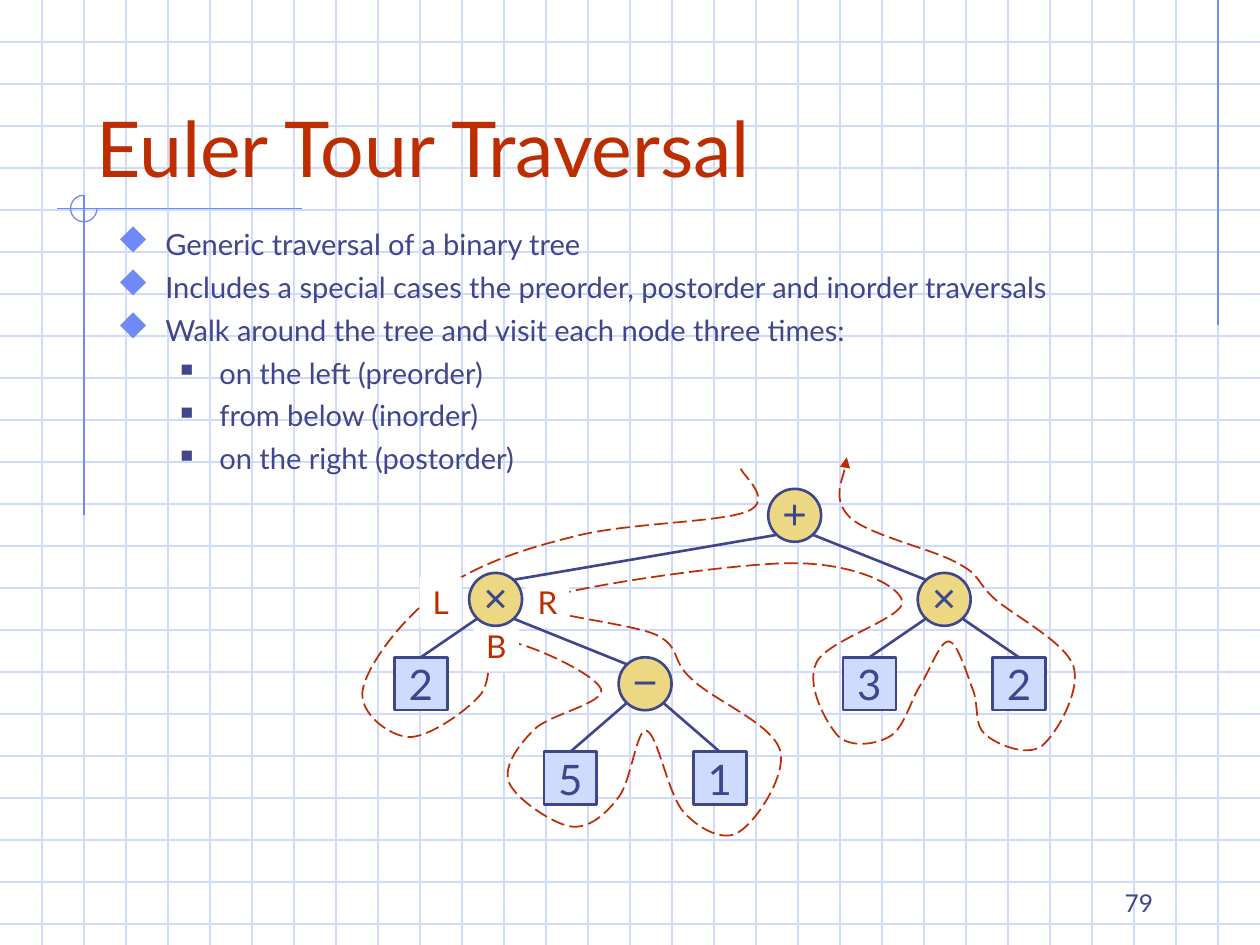
from lxml import etree
from pptx import Presentation, util as u
from pptx.dml.color import RGBColor
from pptx.enum import dml, shapes, text
from pptx.oxml.ns import qn

COLUMNS, ROWS = 30, 22.5
INK, RED, BLUE, PALE, GOLD, WHITE = "40458C", "BE2D00", "6F89F7", "CFDBFD", "ECD882", "FFFFFF"


def color(value):
    return RGBColor.from_string(value)


def cells(count):
    """Length of a number of grid cells, each a third of an inch."""
    return u.Emu(round(count * u.Inches(1) / 3))


class Sketch:
    """Draws on one page; every length is given in grid cells."""

    def __init__(self, page, font="Lato"):
        self.page = page
        self.font = font

    def outline(self, shape, line_color, width):
        shape.line.color.rgb = color(line_color)
        shape.line.width = u.Pt(width)

    def line(self, start, end, line_color, width=0.75):
        connector = self.page.shapes.add_connector(
            shapes.MSO_CONNECTOR.STRAIGHT, *map(cells, (*start, *end)))
        self.outline(connector, line_color, width)
        etree.SubElement(connector._element.spPr, qn("a:effectLst"))
        return connector

    def shape(self, kind, frame, fill=None, line_color=None, width=1.5):
        shape = self.page.shapes.add_shape(kind, *map(cells, frame))
        shape.shadow.inherit = False
        if fill:
            shape.fill.solid()
            shape.fill.fore_color.rgb = color(fill)
        else:
            shape.fill.background()
        if line_color:
            self.outline(shape, line_color, width)
        else:
            shape.line.fill.background()
        return shape

    def style(self, para, size, font_color=INK, align=text.PP_ALIGN.LEFT, font=None):
        para.alignment = align
        para.font.size = u.Pt(size)
        para.font.name = font or self.font
        para.font.color.rgb = color(font_color)

    def caption(self, shape, words, size, font_color=INK, font=None):
        """Centres one unwrapped line of text in a shape."""
        frame = shape.text_frame
        frame.text = words
        frame.word_wrap = False
        frame.vertical_anchor = text.MSO_ANCHOR.MIDDLE
        self.style(frame.paragraphs[0], size, font_color, text.PP_ALIGN.CENTER, font)

    def text(self, frame, words, size, font_color=INK,
             align=text.PP_ALIGN.LEFT, anchor=text.MSO_ANCHOR.BOTTOM):
        box = self.page.shapes.add_textbox(*map(cells, frame))
        box.text_frame.text = words
        box.text_frame.word_wrap = True
        box.text_frame.vertical_anchor = anchor
        for para in box.text_frame.paragraphs:
            self.style(para, size, font_color, align)
        return box

    def bullets(self, frame, items, size):
        """Lists (level, words) pairs; the Wingdings marks are a diamond and a square."""
        words = "\n".join(item for level, item in items)
        box = self.text(frame, words, size, anchor=text.MSO_ANCHOR.TOP)
        looks = [("u", BLUE, 110, 0.38, 0.38), ("n", INK, 60, 0.81, 0.31)]
        for index, (para, (level, item)) in enumerate(zip(box.text_frame.paragraphs, items)):
            mark, mark_color, percent, margin, hang = looks[level]
            para.level = level
            if index:
                para.space_before = u.Pt(4.5)
            props = para._p.get_or_add_pPr()
            props.set("marL", str(u.Inches(margin)))
            props.set("indent", str(-u.Inches(hang)))
            tint = etree.Element(qn("a:buClr"))
            etree.SubElement(tint, qn("a:srgbClr"), val=mark_color)
            scale = etree.Element(qn("a:buSzPct"), val=str(percent * 1000))
            face = etree.Element(qn("a:buFont"), typeface="Wingdings", charset="2")
            sign = etree.Element(qn("a:buChar"), char=mark)
            defaults = props.find(qn("a:defRPr"))
            for element in (tint, scale, face, sign):
                defaults.addprevious(element)

    def curve(self, points, step, line_color):
        """Dashed arrow of joined Bezier curves: a start, then three points per curve."""
        places = [(cells(x * step), cells(y * step)) for x, y in points]
        builder = self.page.shapes.build_freeform(*places[0], scale=1.0)
        builder.add_line_segments(places[1:], close=False)
        shape = builder.convert_to_shape()
        shape.shadow.inherit = False
        shape.fill.background()
        self.outline(shape, line_color, 1)
        shape.line.dash_style = dml.MSO_LINE.LONG_DASH
        etree.SubElement(shape.line._get_or_add_ln(), qn("a:tailEnd"), type="triangle")
        outline = next(shape._element.iter(qn("a:path")))
        for index, segment in enumerate(outline.findall(qn("a:lnTo"))):
            if index % 3 == 0:
                bezier = etree.SubElement(outline, qn("a:cubicBezTo"))
            bezier.append(segment[0])
            outline.remove(segment)


# Corners and control points of the tour, in hundredths of an inch
TOUR = [
    (588, 372), (589, 377), (615, 397), (593, 406), (570, 415), (496, 415), (455, 426),
    (414, 436), (376, 449), (348, 470), (320, 490), (292, 527), (288, 547),
    (284, 566), (309, 584), (324, 585), (339, 586), (368, 566), (380, 553),
    (393, 540), (383, 510), (399, 509), (415, 508), (473, 535), (477, 547),
    (481, 558), (436, 567), (424, 579), (412, 591), (399, 608), (404, 621),
    (409, 634), (439, 654), (453, 656), (467, 658), (480, 647), (490, 634),
    (501, 622), (505, 578), (513, 580), (522, 582), (530, 631), (543, 645),
    (555, 658), (575, 669), (587, 660), (600, 652), (625, 615), (619, 595),
    (612, 574), (565, 555), (549, 539), (532, 524), (541, 514), (521, 504),
    (500, 494), (409, 486), (427, 477), (445, 467), (581, 447), (629, 447),
    (677, 447), (713, 464), (716, 477), (720, 490), (656, 508), (648, 526),
    (639, 544), (656, 574), (665, 584), (675, 594), (696, 591), (707, 584),
    (718, 577), (723, 555), (731, 543), (739, 530), (746, 509), (753, 509),
    (760, 510), (767, 534), (772, 547), (777, 559), (773, 576), (782, 583),
    (791, 591), (815, 601), (827, 592), (839, 582), (858, 548), (852, 529),
    (846, 510), (805, 489), (789, 475), (774, 461), (779, 457), (760, 447),
    (741, 436), (690, 425), (675, 411), (660, 397), (672, 373), (672, 363),
]
TREE_LEFT, TREE_STEP, NODE = 10.02, 1.78, 1.26
LEVELS = [12.27, 14.27, 16.28, 18.53]
# Name: (sign, column, level); a digit is a leaf
NODES = {
    "root": ("+", 5, 0), "left": ("×", 1, 1), "right": ("×", 7, 1), "minus": ("−", 3, 2),
    "a": ("2", 0, 2), "b": ("5", 2, 3), "c": ("1", 4, 3), "d": ("3", 6, 2), "e": ("2", 8, 2),
}
EDGES = [("root", "left"), ("root", "right"), ("left", "a"), ("left", "minus"),
         ("minus", "b"), ("minus", "c"), ("right", "d"), ("right", "e")]


def node_center(name):
    sign, column, level = NODES[name]
    return TREE_LEFT + column * TREE_STEP, LEVELS[level]


def draw_node(sketch, name):
    sign = NODES[name][0]
    x, y = node_center(name)
    frame = (x - NODE / 2, y - NODE / 2, NODE, NODE)
    if sign.isdigit():
        shape = sketch.shape(shapes.MSO_SHAPE.RECTANGLE, frame, PALE, INK)
        sketch.caption(shape, sign, 24)
    else:
        shape = sketch.shape(shapes.MSO_SHAPE.OVAL, frame, GOLD, INK)
        sketch.caption(shape, sign, 24, font="Arial")
        margins = shape.text_frame
        margins.margin_left = margins.margin_right = margins.margin_top = 0
    return shape


def draw_edge(sketch, parent, child, leaf):
    """Runs from the rim of a circle to the rim of a circle or the top of a leaf."""
    x, y = node_center(parent)
    child_x, child_y = node_center(child)
    rim = 0.45 if child_x > x else -0.45
    edge = sketch.line((x + rim, y + 0.47), (child_x - rim, child_y - 0.47), INK, 1.5)
    if NODES[child][0].isdigit():
        edge.end_connect(leaf, 0)


def main():
    deck = Presentation()
    deck.slide_width, deck.slide_height = cells(COLUMNS), cells(ROWS)
    sketch = Sketch(deck.slides.add_slide(deck.slide_layouts[6]))

    for row in range(1, 23):
        sketch.line((0, row), (COLUMNS, row), PALE)
    for column in range(1, COLUMNS):
        sketch.line((column, 0), (column, ROWS), PALE)
    sketch.line((29, 0), (29, 7.75), BLUE)
    sketch.line((7.2, 4.97), (1.35, 4.97), BLUE)
    sketch.line((2, 4.65), (2, 12.27), BLUE)
    ring = sketch.shape(shapes.MSO_SHAPE.ARC, (1.68, 4.65, 0.63, 0.63), None, BLUE, 0.75)
    ring.adjustments[0], ring.adjustments[1] = 0, 162  # 0 to 270 degrees

    sketch.text((2, 1, 25.5, 3.75), "Euler Tour Traversal", 44, RED)
    sketch.bullets((2.5, 5.25, 26, 7), [
        (0, "Generic traversal of a binary tree"),
        (0, "Includes a special cases the preorder, postorder and inorder traversals"),
        (0, "Walk around the tree and visit each node three times:"),
        (1, "on the left (preorder)"),
        (1, "from below (inorder)"),
        (1, "on the right (postorder)"),
    ], 16.6)

    sketch.curve(TOUR, 0.03, RED)
    for letter, x, y, width in [("L", 9.99, 13.74, 1), ("B", 11.28, 14.79, 1.08),
                                ("R", 12.51, 13.74, 1.05)]:
        label = sketch.shape(shapes.MSO_SHAPE.RECTANGLE, (x, y, width, 1.2), WHITE)
        sketch.caption(label, letter, 18, RED)
    drawn = {name: draw_node(sketch, name) for name in NODES}
    for parent, child in EDGES:
        draw_edge(sketch, parent, child, drawn[child])

    sketch.text((21.5, 20.5, 6.25, 1.5), "79", 14, align=text.PP_ALIGN.RIGHT)
    deck.save("out.pptx")


if __name__ == "__main__":
    main()
